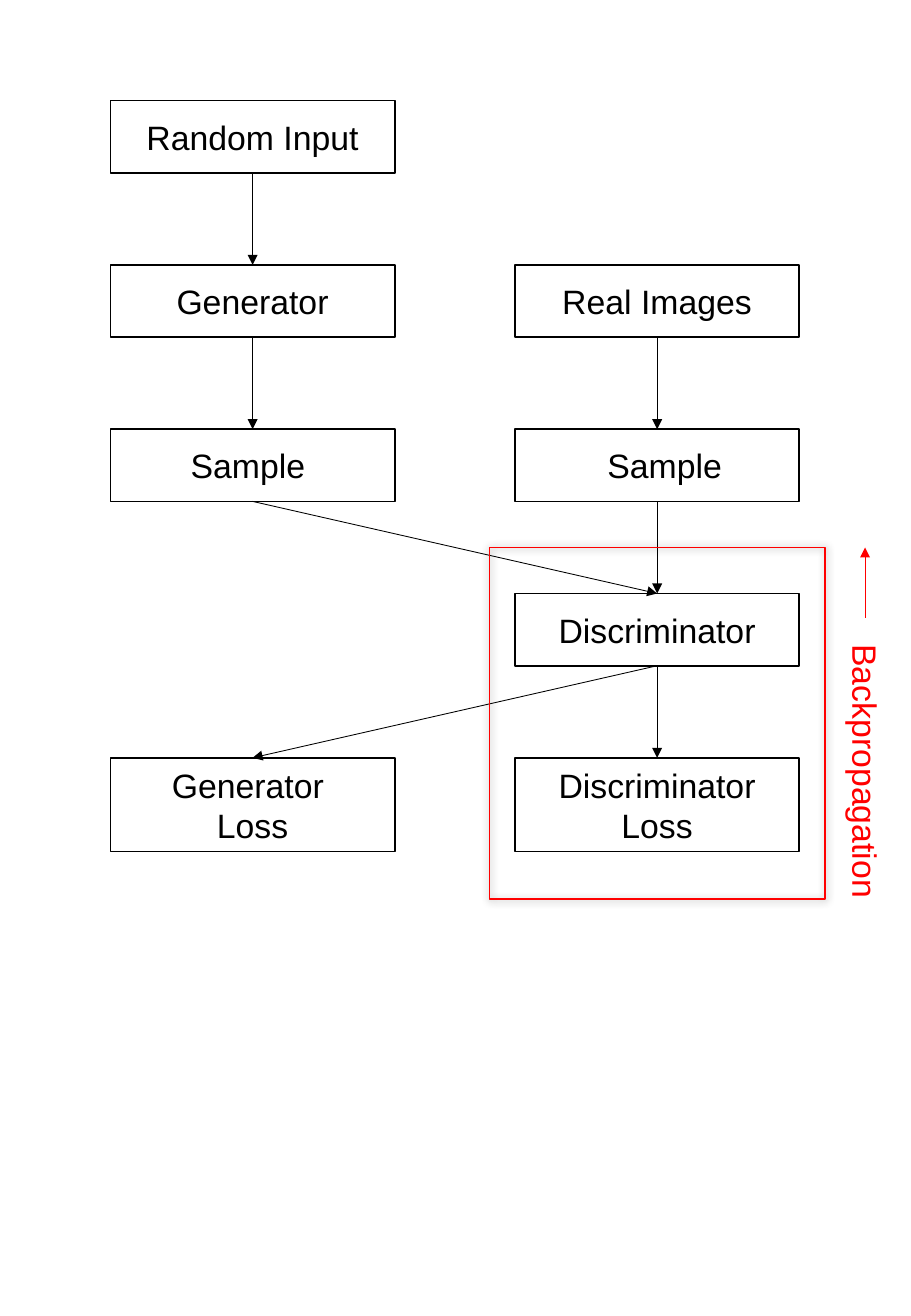
from lxml.etree import SubElement
from pptx import Presentation
from pptx.dml.color import RGBColor
from pptx.enum.shapes import MSO_CONNECTOR, MSO_SHAPE
from pptx.enum.text import MSO_ANCHOR, PP_ALIGN
from pptx.oxml.ns import qn
from pptx.util import Pt

COLORS = {"ink": "000000", "paper": "FFFFFF", "accent": "FF0000"}
COLUMNS = (65.5, 305.3)
TOP, PITCH = 59.6, 97.4
BOX_W, BOX_H, LOSS_H = 168.5, 42.8, 55.6


def rgb(name):
    return RGBColor.from_string(COLORS[name])


def write(shape, text, color="ink", size=20, font="Arial", left=7.2, right=7.2):
    tf = shape.text_frame
    tf.word_wrap = True
    tf.vertical_anchor = MSO_ANCHOR.MIDDLE
    tf.margin_left, tf.margin_right = Pt(left), Pt(right)
    tf.margin_top = tf.margin_bottom = Pt(3.6)
    for i, line in enumerate(text.split("\n")):
        p = tf.paragraphs[0] if i == 0 else tf.add_paragraph()
        p.alignment = PP_ALIGN.CENTER
        r = p.add_run()
        r.text = line
        r.font.size, r.font.name = Pt(size), font
        r.font.color.rgb = rgb(color)


class Diagram:
    def __init__(self, s, box_line=1, arrow_line=0.5):
        self.s = s
        self.box_line = box_line
        self.arrow_line = arrow_line

    def rect(self, x, y, w, h, line="ink"):
        sp = self.s.shapes.add_shape(MSO_SHAPE.RECTANGLE, Pt(x), Pt(y), Pt(w), Pt(h))
        sp.shadow.inherit = False
        sp.line.color.rgb = rgb(line)
        sp.line.width = Pt(self.box_line)
        return sp

    def box(self, text, col, row, h=BOX_H, shift=0):
        sp = self.rect(COLUMNS[col], TOP + row * PITCH, BOX_W, h)
        sp.fill.solid()
        sp.fill.fore_color.rgb = rgb("paper")
        write(sp, text, left=14.4 + shift, right=14.4 - shift)
        return sp

    def frame(self, x, y, w, h):
        sp = self.rect(x, y, w, h, line="accent")
        sp.fill.background()
        effects = sp.element.spPr.find(qn("a:effectLst"))
        shadow = SubElement(effects, qn("a:outerShdw"), blurRad=str(Pt(5)),
                            dist="0", dir="0", algn="ctr", rotWithShape="0")
        color = SubElement(shadow, qn("a:srgbClr"), val=COLORS["ink"])
        SubElement(color, qn("a:alpha"), val="40000")

    def arrow(self, x1, y1, x2, y2, color="ink"):
        c = self.s.shapes.add_connector(
            MSO_CONNECTOR.STRAIGHT, Pt(x1), Pt(y1), Pt(x2), Pt(y2))
        c.line.color.rgb = rgb(color)
        c.line.width = Pt(self.arrow_line)
        SubElement(c.line._get_or_add_ln(), qn("a:tailEnd"), type="triangle")
        SubElement(c.element.spPr, qn("a:effectLst"))
        return c

    def join(self, start, end):
        c = self.arrow(0, 0, 0, 0)
        c.begin_connect(start, 2)
        c.end_connect(end, 0)

    def label(self, text, x, y, w, h, rotation, color):
        tb = self.s.shapes.add_textbox(Pt(x), Pt(y), Pt(w), Pt(h))
        tb.rotation = rotation
        write(tb, text, color=color)


def main():
    prs = Presentation()
    prs.slide_width, prs.slide_height = Pt(540), Pt(780)
    d = Diagram(prs.slides.add_slide(prs.slide_layouts[6]))

    random_input = d.box("Random Input", 0, 0)
    generator = d.box("Generator", 0, 1)
    real_images = d.box("Real Images", 1, 1)
    fake_sample = d.box("Sample ", 0, 2)
    real_sample = d.box("Sample ", 1, 2, shift=7.2)
    discriminator = d.box("Discriminator", 1, 3)
    generator_loss = d.box("Generator \nLoss", 0, 4, h=LOSS_H)
    discriminator_loss = d.box("Discriminator Loss", 1, 4, h=LOSS_H)

    for start, end in (
        (random_input, generator),
        (generator, fake_sample),
        (real_images, real_sample),
        (real_sample, discriminator),
        (fake_sample, discriminator),
        (discriminator, generator_loss),
        (discriminator, discriminator_loss),
    ):
        d.join(start, end)

    d.frame(290.2, 324.5, 198.9, 208.5)
    d.arrow(512.8, 366.3, 512.8, 324.5, color="accent")
    d.label("Backpropagation", 429, 441.3, 168.5, 31.5, rotation=90, color="accent")

    prs.save("out.pptx")


if __name__ == "__main__":
    main()
